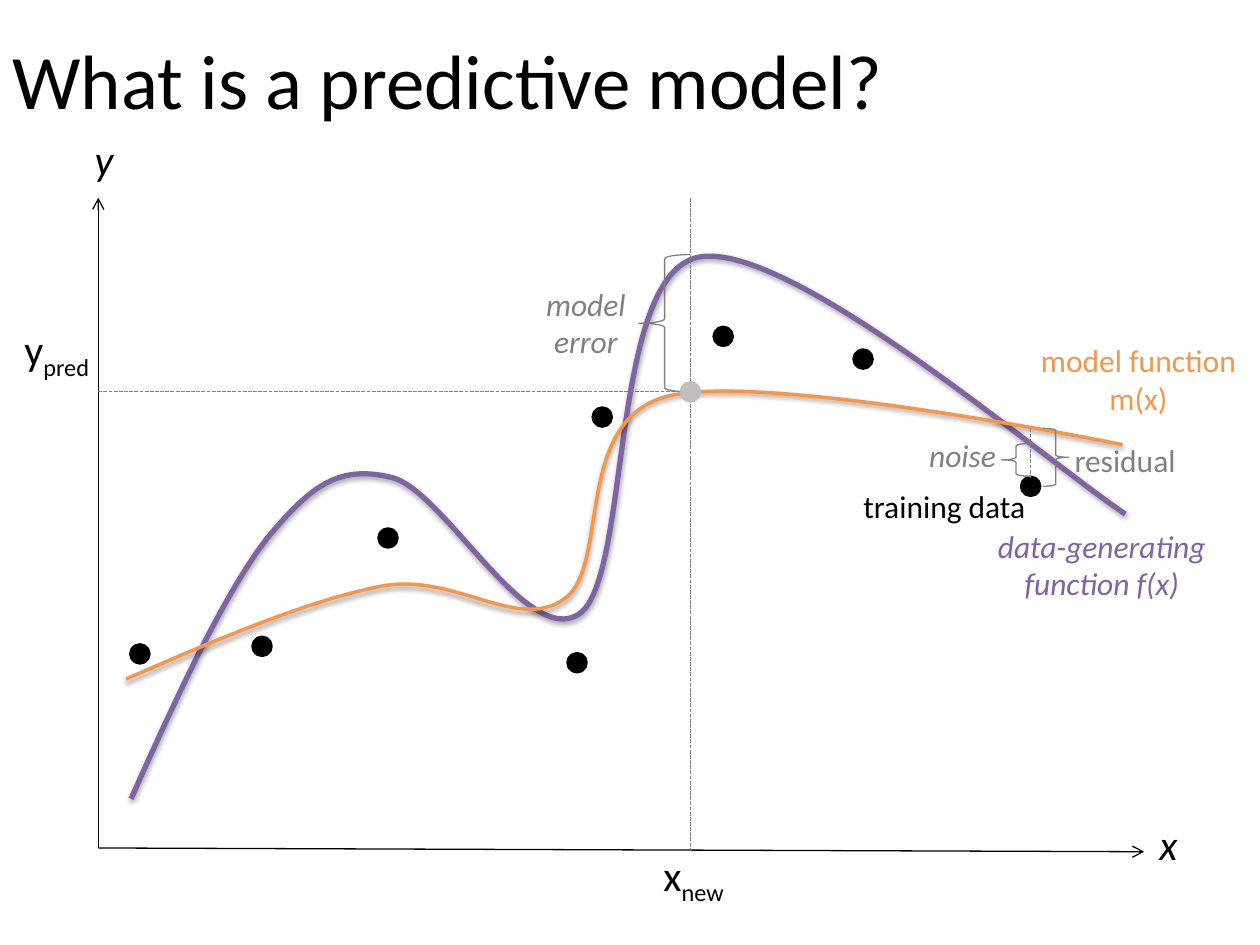
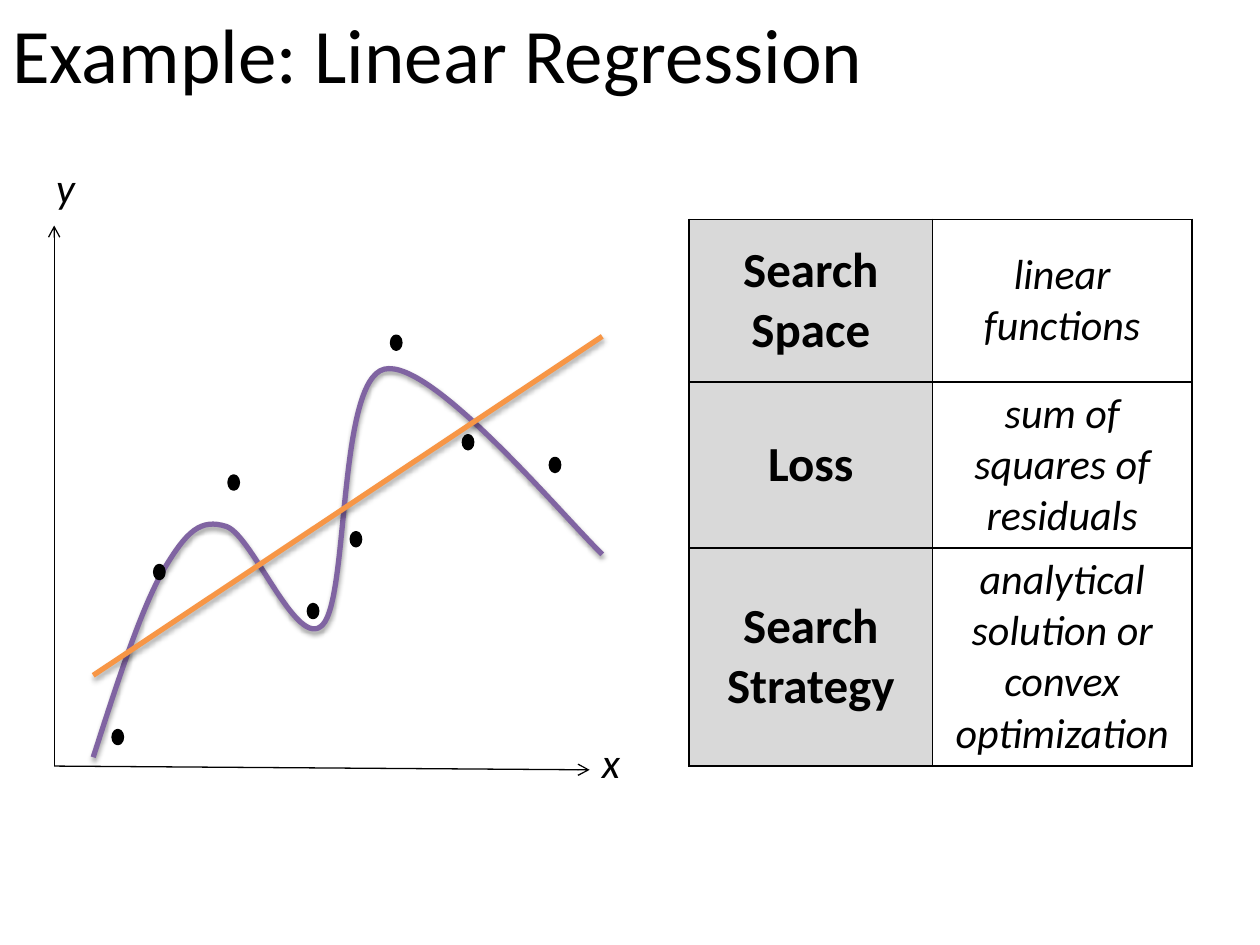
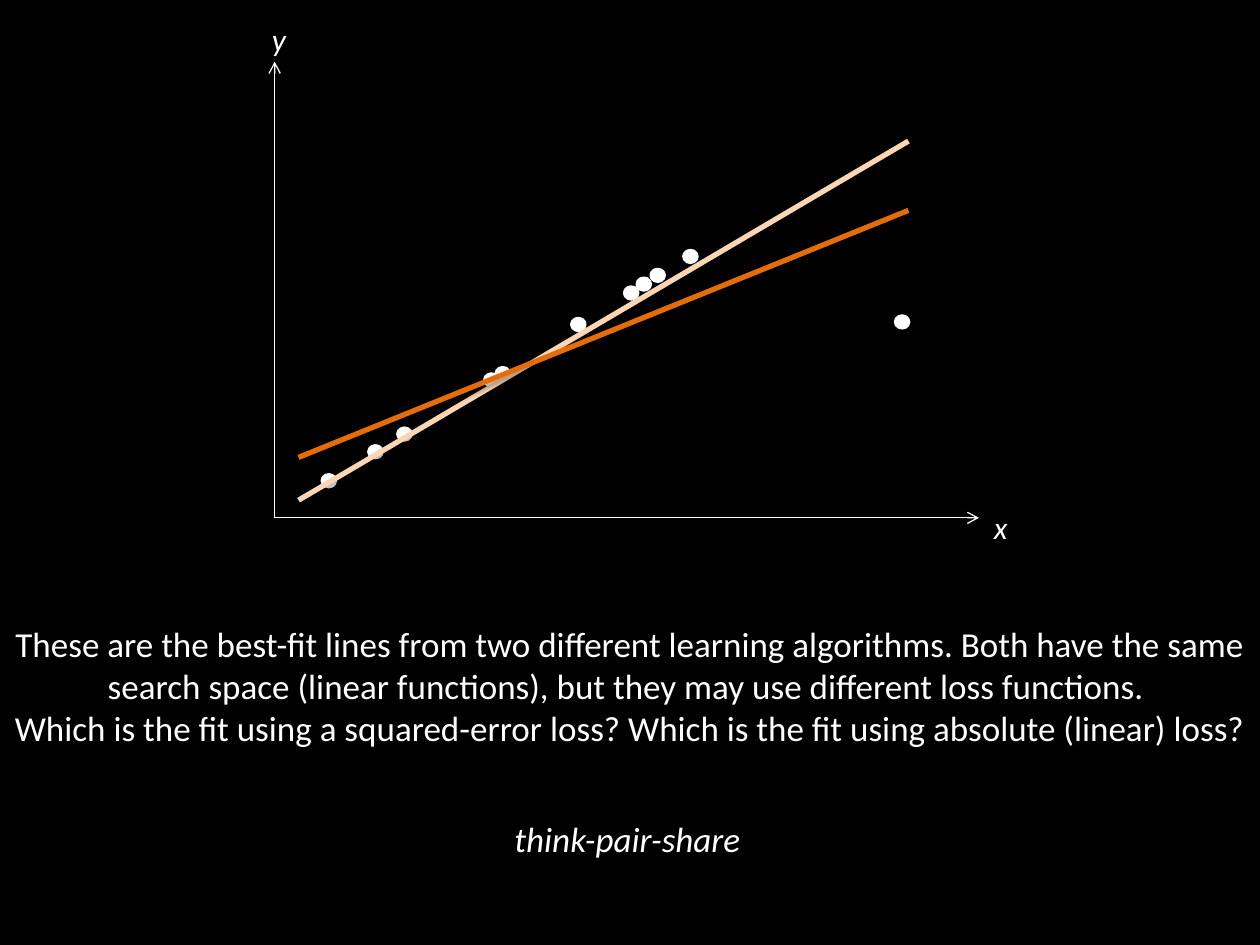
from lxml import etree
from pptx import Presentation
from pptx.dml.color import RGBColor as RGB
from pptx.enum.dml import MSO_LINE
from pptx.enum.shapes import MSO_CONNECTOR, MSO_SHAPE as SHAPE
from pptx.enum.text import MSO_ANCHOR as ANCHOR, PP_ALIGN as ALIGN
from pptx.oxml.ns import qn
from pptx.util import Inches, Pt


class Theme:
    font = "Calibri"
    black, white = RGB(0, 0, 0), RGB(255, 255, 255)
    gray, brace, marker, header = (RGB(v, v, v) for v in (0x80, 0x7F, 0xBF, 0xD9))
    purple, orange = RGB(0x80, 0x64, 0xA2), RGB(0xF7, 0x96, 0x46)
    peach, rust = RGB(0xFC, 0xD5, 0xB5), RGB(0xE4, 0x6C, 0x0A)
    title, head, axis, body, label = 44, 28, 24, 20, 18
    thin, medium, thick, dot = 0.75, 2, 3, 2.25


def add_line(s, points, color, width, arrow=False, dash=False, shadow=0):
    """Join two points, or draw a chain of cubic Béziers; shadow is its opacity in %."""
    points = [(Inches(x), Inches(y)) for x, y in points]
    if len(points) == 2:
        sp = s.shapes.add_connector(MSO_CONNECTOR.STRAIGHT, *points[0], *points[1])
    else:
        knots = points[::3]
        builder = s.shapes.build_freeform(*knots[0])
        builder.add_line_segments(knots[1:], close=False)
        sp = builder.convert_to_shape()
        sp.fill.background()
        segments = list(sp.element.iter(qn("a:lnTo")))
        for i, segment in enumerate(segments):
            curve = etree.Element(qn("a:cubicBezTo"))
            for x, y in points[3 * i + 1:3 * i + 4]:
                etree.SubElement(curve, qn("a:pt"), x=str(x - sp.left), y=str(y - sp.top))
            segment.getparent().replace(segment, curve)
    sp.line.color.rgb = color
    sp.line.width = Pt(width)
    if dash:
        sp.line.dash_style = MSO_LINE.SQUARE_DOT
    spPr = sp.element.spPr
    if arrow:
        etree.SubElement(spPr.find(qn("a:ln")), qn("a:tailEnd"), type="arrow")
    effects = etree.SubElement(spPr, qn("a:effectLst"))
    if shadow:
        outer = etree.SubElement(effects, qn("a:outerShdw"), blurRad=str(Pt(3.1)),
                                 dist=str(Pt(1.6)), dir="5400000", rotWithShape="0")
        tint = etree.SubElement(outer, qn("a:srgbClr"), val=str(Theme.black))
        etree.SubElement(tint, qn("a:alpha"), val=str(shadow * 1000))


def add_mark(s, kind, box, color, width, filled=True):
    sp = s.shapes.add_shape(kind, *map(Inches, box))
    sp.shadow.inherit = False
    if filled:
        sp.fill.solid()
        sp.fill.fore_color.rgb = color
    else:
        sp.fill.background()
    sp.line.color.rgb = color
    sp.line.width = Pt(width)
    return sp


prs = Presentation()
prs.slide_width, prs.slide_height = Inches(10), Inches(7.5)
model, regression, quiz = (prs.slides.add_slide(prs.slide_layouts[6]) for _ in range(3))
for s, color in ((model, Theme.white), (regression, Theme.white), (quiz, Theme.black)):
    s.background.fill.solid()
    s.background.fill.fore_color.rgb = color

# Plots: axes, true function, data points, fitted functions
model_truth = [(1.04, 6.34), (1.41, 5.51), (1.79, 4.69), (2.13, 4.26),
               (2.48, 3.84), (2.7, 3.69), (3.11, 3.79), (3.52, 3.89),
               (4.19, 5.16), (4.6, 4.87), (5.01, 4.58), (4.83, 2.17),
               (5.55, 2.04), (6.27, 1.91), (8.3, 3.66), (8.93, 4.08)]
model_fit = [(1, 5.39), (1.73, 5.07), (2.46, 4.76), (3.04, 4.65),
             (3.61, 4.55), (4.1, 5.01), (4.47, 4.76), (4.85, 4.51),
             (4.54, 3.36), (5.28, 3.15), (6.02, 2.94), (8.91, 3.53), (8.91, 3.53)]
regression_truth = [(0.74, 6.01), (0.93, 5.42), (1.12, 4.83), (1.3, 4.52),
                    (1.48, 4.22), (1.59, 4.11), (1.8, 4.18), (2.01, 4.26),
                    (2.36, 5.17), (2.56, 4.96), (2.77, 4.75), (2.68, 3.02),
                    (3.05, 2.93), (3.42, 2.84), (4.46, 4.09), (4.78, 4.4)]
model_dots = [(4.71, 3.24), (2.01, 5.06), (3.01, 4.2), (6.78, 2.78),
              (8.11, 3.79), (5.67, 2.6), (1.04, 5.12), (4.51, 5.19)]
regression_dots = [(2.79, 4.23), (1.23, 4.49), (1.82, 3.78), (3.68, 3.46),
                   (4.37, 3.64), (3.11, 2.67), (0.9, 5.8), (2.45, 4.8)]
quiz_dots = [(2.56, 3.77), (2.93, 3.54), (3.16, 3.4), (3.85, 2.97), (3.94, 2.92), (5.06, 2.21),
             (5.43, 1.99), (4.54, 2.53), (7.11, 2.51), (4.96, 2.28), (5.17, 2.14)]

plots = [
    (model, Theme.black, (0.78, 6.73), (9.08, 6.76), 1.57, model_truth,
     model_dots, (0.14, 0.14), [(model_fit, Theme.orange, Theme.medium, 38)]),
    (regression, Theme.black, (0.43, 6.08), (4.68, 6.11), 1.79, regression_truth,
     regression_dots, (0.07, 0.1),
     [([(0.74, 5.36), (4.78, 2.67)], Theme.orange, Theme.thick, 35)]),
    (quiz, Theme.white, (2.18, 4.11), (7.77, 4.11), 0.49, None,
     quiz_dots, (0.1, 0.09),
     [([(2.37, 3.97), (7.21, 1.12)], Theme.peach, Theme.thick, 35),
      ([(2.37, 3.63), (7.21, 1.67)], Theme.rust, Theme.thick, 35)]),
]
for s, ink, origin, x_end, y_top, truth, dots, dot_size, fits in plots:
    for end in (x_end, (origin[0], y_top)):
        add_line(s, [origin, end], ink, Theme.thin, arrow=True)
    if truth:
        add_line(s, truth, Theme.purple, Theme.thick, shadow=38)
    for dot in dots:
        add_mark(s, SHAPE.OVAL, dot + dot_size, ink, Theme.dot)
    for points, color, width, shadow in fits:
        add_line(s, points, color, width, shadow=shadow)

# Prediction and error guides
for guide in ([(8.18, 3.4), (8.18, 3.79)],
              [(5.48, 1.57), (5.48, 6.73)],
              [(0.78, 3.11), (5.48, 3.11)]):
    add_line(model, guide, Theme.gray, Theme.thin, dash=True)
for box, flipped in (((7.95, 3.52, 0.23, 0.26), True),
                     ((8.28, 3.4, 0.2, 0.46), False),
                     ((5.07, 2.02, 0.41, 1.09), True)):
    sp = add_mark(model, SHAPE.RIGHT_BRACE, box, Theme.brace, Theme.thin, filled=False)
    if flipped:
        sp.element.spPr.find(qn("a:xfrm")).set("flipH", "1")
add_mark(model, SHAPE.OVAL, (5.41, 3.04, 0.14, 0.14), Theme.marker, Theme.dot)

# Summary table
rows = [("Search Space", "linear functions"),
        ("Loss", "sum of squares of residuals"),
        ("Search Strategy", "analytical solution or convex optimization")]
table = regression.shapes.add_table(3, 2, *map(Inches, (5.47, 1.74, 3.99, 3.87))).table
table.first_row = table.horz_banding = False
for column, width in zip(table.columns, (1.93, 2.06)):
    column.width = Inches(width)
for r, row in enumerate(rows):
    table.rows[r].height = Inches(1.29)
    for c, text in enumerate(row):
        cell = table.cell(r, c)
        cell.text = text
        cell.vertical_anchor = ANCHOR.MIDDLE
        tcPr = cell._tc.get_or_add_tcPr()
        for side in ("a:lnL", "a:lnR", "a:lnT", "a:lnB"):
            ln = etree.SubElement(tcPr, qn(side), w=str(Pt(1)))
            fill = etree.SubElement(ln, qn("a:solidFill"))
            etree.SubElement(fill, qn("a:srgbClr"), val=str(Theme.black))
        if c == 0:
            cell.fill.solid()
            cell.fill.fore_color.rgb = Theme.header
        else:
            cell.fill.background()
        p = cell.text_frame.paragraphs[0]
        p.alignment = ALIGN.CENTER
        font = p.runs[0].font
        font.name, font.color.rgb = Theme.font, Theme.black
        font.size = Pt(Theme.axis if c else Theme.head)
        font.bold, font.italic = c == 0, c == 1

# Text: an underscore starts a subscript
question = ("These are the best-fit lines from two different learning algorithms. "
            "Both have the same search space (linear functions), "
            "but they may use different loss functions. \n"
            "Which is the fit using a squared-error loss? "
            "Which is the fit using absolute (linear) loss?")
title_box = (0, 0, 10, 1.25)
unwrapped = {"x", "y", "x_new", "y_pred", "training data"}
texts = [
    (model, "What is a predictive model?", title_box, Theme.title, Theme.black, False),
    (model, "x", (9.06, 6.45, 0.43, 0.5), Theme.axis, Theme.black, True),
    (model, "y", (0.61, 1.01, 0.43, 0.5), Theme.axis, Theme.black, True),
    (model, "x_new", (5.13, 6.69, 0.75, 0.5), Theme.axis, Theme.black, False),
    (model, "y_pred", (0.06, 2.52, 0.78, 0.5), Theme.axis, Theme.black, False),
    (model, "noise", (7.22, 3.41, 0.84, 0.4), Theme.label, Theme.gray, True),
    (model, "training data", (6.74, 3.82, 1.51, 0.4), Theme.label, Theme.black, False),
    (model, "data-generating function f(x)", (7.63, 4.13, 2.23, 0.71),
     Theme.label, Theme.purple, True),
    (model, "model function m(x)", (8.09, 2.66, 1.89, 0.71), Theme.label, Theme.orange, False),
    (model, "residual", (8.31, 3.45, 1.24, 0.4), Theme.label, Theme.gray, False),
    (model, "model error", (4.23, 2.21, 0.84, 0.71), Theme.label, Theme.gray, True),
    (regression, "Example: Linear Regression", title_box, Theme.title, Theme.black, False),
    (regression, "x", (4.67, 5.8, 0.36, 0.5), Theme.axis, Theme.black, True),
    (regression, "y", (0.34, 1.23, 0.36, 0.5), Theme.axis, Theme.black, True),
    (quiz, "x", (7.79, 3.98, 0.3, 0.4), Theme.label, Theme.white, True),
    (quiz, "y", (2.06, 0.11, 0.3, 0.4), Theme.label, Theme.white, True),
    (quiz, question, (0, 4.89, 10, 1.11), Theme.body, Theme.white, False),
    (quiz, "think-pair-share", (-0.02, 6.44, 10, 0.44), Theme.body, Theme.white, True),
]
for s, text, box, size, color, italic in texts:
    tf = s.shapes.add_textbox(*map(Inches, box)).text_frame
    tf.word_wrap = text not in unwrapped
    base, _, subscript = text.partition("_")
    tf.text = base
    if subscript:
        r = tf.paragraphs[0].add_run()
        r.text = subscript
        r._r.get_or_add_rPr().set("baseline", "-25000")
    if s is model and size == Theme.title:
        tf.vertical_anchor = ANCHOR.MIDDLE
    for p in tf.paragraphs:
        p.alignment = ALIGN.LEFT if size == Theme.title else ALIGN.CENTER
        for r in p.runs:
            r.font.name, r.font.size = Theme.font, Pt(size)
            r.font.color.rgb, r.font.italic = color, italic

prs.save("out.pptx")
